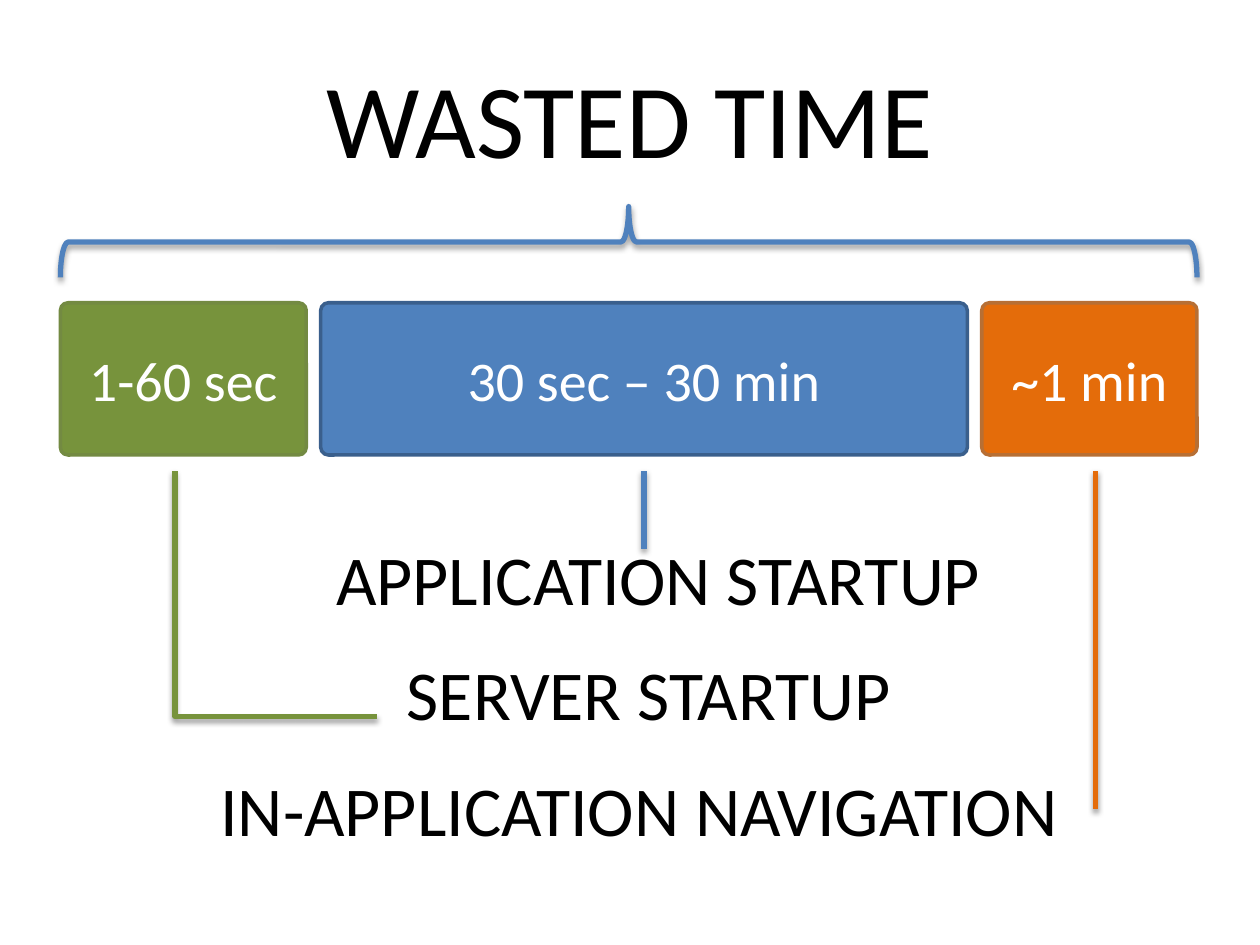
from lxml.etree import SubElement
from pptx import Presentation
from pptx.dml.color import RGBColor
from pptx.enum.shapes import MSO_CONNECTOR as Link, MSO_SHAPE as Shape
from pptx.enum.text import MSO_ANCHOR as Anchor, MSO_AUTO_SIZE as Fit, PP_ALIGN as Align
from pptx.oxml.ns import qn
from pptx.util import Pt

GREEN = RGBColor(0x77, 0x93, 0x3C)
MOSS = RGBColor(0x73, 0x8A, 0x42)
BLUE = RGBColor(0x4F, 0x81, 0xBD)
NAVY = RGBColor(0x3A, 0x5F, 0x8C)
ORANGE = RGBColor(0xE4, 0x6C, 0x0A)
RUST = RGBColor(0xB7, 0x6F, 0x34)
WHITE = RGBColor(0xFF, 0xFF, 0xFF)
BLACK = RGBColor(0, 0, 0)

BARS = [
    ("1-60 sec", 140.5, GREEN, MOSS),
    ("30 sec – 30 min", 369.5, BLUE, NAVY),
    ("~1 min", 123, ORANGE, RUST),
]
LABELS = [
    ("APPLICATION STARTUP", 185, 394),
    ("SERVER STARTUP", 225.4, 299),
    ("IN-APPLICATION NAVIGATION", 118.8, 506),
]


def write(frame, text, size, color, align):
    """Write one formatted run into the first paragraph."""
    para = frame.paragraphs[0]
    para.alignment = align
    run = para.add_run()
    run.text = text
    run.font.name = "Calibri"
    run.font.size = Pt(size)
    run.font.color.rgb = color


def stroke(shape, color):
    """Give a thick line with a soft shadow below it."""
    shape.line.color.rgb = color
    shape.line.width = Pt(3)
    props = shape.element.spPr
    for old in props.findall(qn("a:effectLst")):
        props.remove(old)
    effects = SubElement(props, qn("a:effectLst"))
    shade = SubElement(effects, qn("a:outerShdw"), blurRad=str(Pt(3.1)),
                       dist=str(Pt(1.6)), dir="5400000", rotWithShape="0")
    tint = SubElement(shade, qn("a:srgbClr"), val="000000")
    SubElement(tint, qn("a:alpha"), val="38000")


def add_title(slide, left, top, width, height):
    """Place the slide title."""
    title = slide.shapes.title
    title.left, title.top = Pt(left), Pt(top)
    title.width, title.height = Pt(width), Pt(height)
    title.text_frame.vertical_anchor = Anchor.MIDDLE
    write(title.text_frame, "WASTED TIME", 60, BLACK, Align.CENTER)


def add_brace(slide, left, top, width, height):
    """Span the box with a brace that points up."""
    x = left + (width - height) / 2
    y = top + (height - width) / 2
    brace = slide.shapes.add_shape(Shape.RIGHT_BRACE, Pt(x), Pt(y), Pt(height), Pt(width))
    brace.rotation = 270
    brace.adjustments[0] = 0.11
    brace.adjustments[1] = 0.5
    brace.fill.background()
    stroke(brace, BLUE)


def add_bars(slide, left, top, width, height):
    """Lay the time bars in a row with equal gaps."""
    gap = (width - sum(bar[1] for bar in BARS)) / (len(BARS) - 1)
    for text, size, fill, edge in BARS:
        bar = slide.shapes.add_shape(Shape.ROUNDED_RECTANGLE, Pt(left), Pt(top), Pt(size), Pt(height))
        bar.adjustments[0] = 0.05
        bar.shadow.inherit = False
        bar.fill.solid()
        bar.fill.fore_color.rgb = fill
        bar.line.color.rgb = edge
        bar.line.width = Pt(2)
        bar.text_frame.vertical_anchor = Anchor.MIDDLE
        write(bar.text_frame, text, 32, WHITE, Align.CENTER)
        left += size + gap


def add_labels(slide, top, height, step):
    """Stack the phase names at an even step."""
    for row, (text, left, width) in enumerate(LABELS):
        box = slide.shapes.add_textbox(Pt(left), Pt(top + row * step), Pt(width), Pt(height))
        box.text_frame.word_wrap = False
        box.text_frame.auto_size = Fit.SHAPE_TO_FIT_TEXT
        write(box.text_frame, text, 40, BLACK, Align.LEFT)


def add_links(slide, top):
    """Lead from each bar down to its phase name."""
    ends = [
        (Link.ELBOW, 100, 215.5, 409.5, GREEN),
        (Link.STRAIGHT, 368, 368, 314, BLUE),
        (Link.STRAIGHT, 626.2, 626.2, 462.5, ORANGE),
    ]
    for kind, start, end, low, color in ends:
        link = slide.shapes.add_connector(kind, Pt(start), Pt(top), Pt(end), Pt(low))
        stroke(link, color)
        if kind == Link.ELBOW:
            guides = link.element.spPr.find(qn("a:prstGeom")).find(qn("a:avLst"))
            SubElement(guides, qn("a:gd"), name="adj1", fmla="val 0")


def main():
    """Build and save the slide."""
    deck = Presentation()
    deck.slide_width, deck.slide_height = Pt(720), Pt(540)
    slide = deck.slides.add_slide(deck.slide_layouts[5])
    add_bars(slide, 34.5, 173, 649.5, 87)
    add_labels(slide, 302.4, 55.4, 66)
    add_links(slide, 269.3)
    add_brace(slide, 34.5, 118, 649.5, 40.5)
    add_title(slide, 36, 21.6, 648, 90)
    deck.save("out.pptx")


if __name__ == "__main__":
    main()
